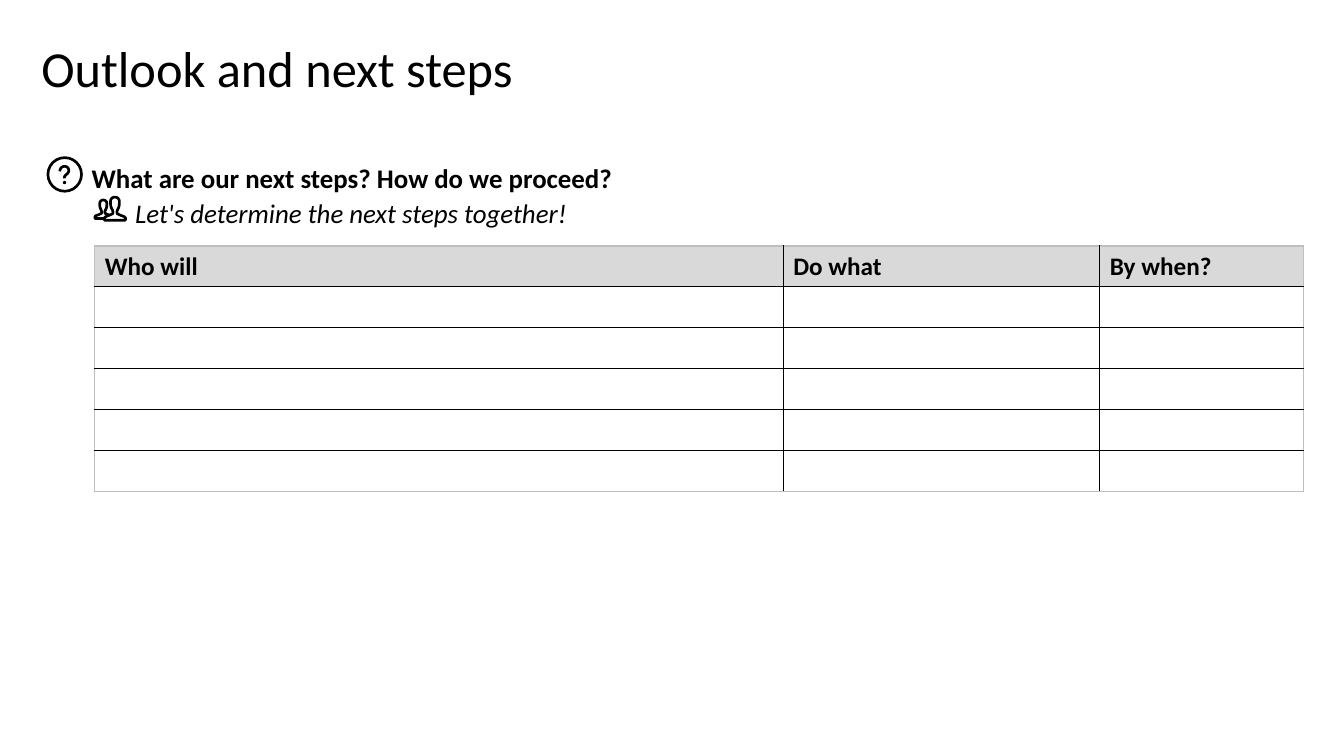
from lxml.etree import SubElement
from pptx import Presentation
from pptx.dml.color import RGBColor
from pptx.enum.shapes import MSO_SHAPE
from pptx.enum.text import MSO_ANCHOR, PP_ALIGN
from pptx.oxml.ns import qn
from pptx.util import Pt

FONT = "Calibri"
BLACK, WHITE, HEADER_GREY, EDGE_GREY = "000000", "FFFFFF", "D9D9D9", "BFBFBF"

HEADERS = ["Who will", "Do what", "By when?"]
COLUMN_WIDTHS = [491.8, 226.1, 145.4]
ROW_COUNT, ROW_HEIGHT = 6, 29.2

# Right half of a person's outline, from the crown of the head to the base.
PERSON_HALF = [(0, 0), (1.2, 0.2), (2.2, 0.8), (3, 2), (3.2, 3.4), (3.1, 5.8), (2.6, 7.6),
               (1.8, 9.2), (1.4, 10.6), (1.6, 11.9), (4, 13), (6.6, 14), (7.5, 14.8), (7.5, 16.5)]
QUESTION_HOOK = [(42.7, 122.4), (43, 121), (43.8, 119.7), (45, 119), (46.3, 118.8), (47.6, 119.1),
                 (48.7, 120), (49.2, 121.3), (49.1, 122.6), (48.3, 123.9), (46.8, 125.2),
                 (46.1, 126.2), (46, 127.4)]


def color(hex_text):
    return RGBColor.from_string(hex_text)


class SlideBuilder:
    def __init__(self, slide):
        self.slide = slide

    def style_text(self, paragraph, size, bold=False, italic=False, spacing=1.0):
        paragraph.alignment = PP_ALIGN.LEFT
        paragraph.line_spacing = spacing
        font = paragraph.font
        font.name, font.size, font.bold, font.italic = FONT, Pt(size), bold, italic
        font.color.rgb = color(BLACK)

    def fill_frame(self, shape, text, size, spacing, **emphasis):
        """Put one line of text at the top left of a shape, without margins."""
        frame = shape.text_frame
        frame.word_wrap = True
        frame.vertical_anchor = MSO_ANCHOR.TOP
        frame.margin_left = frame.margin_right = frame.margin_top = frame.margin_bottom = 0
        frame.text = text
        self.style_text(frame.paragraphs[0], size, spacing=spacing, **emphasis)

    def title(self, text, left, top, width, height):
        title = self.slide.shapes.title
        title.left, title.top, title.width, title.height = map(Pt, (left, top, width, height))
        self.fill_frame(title, text, 36, 0.9)

    def text(self, text, left, top, width, height, **emphasis):
        box = self.slide.shapes.add_textbox(*map(Pt, (left, top, width, height)))
        self.fill_frame(box, text, 19.2, 1.06, **emphasis)

    def outline(self, shape, line_width, filled=True):
        shape.shadow.inherit = False
        if filled:
            shape.fill.solid()
            shape.fill.fore_color.rgb = color(WHITE)
        else:
            shape.fill.background()
        shape.line.color.rgb = color(BLACK)
        shape.line.width = Pt(line_width)

    def circle(self, left, top, diameter, line_width):
        bounds = map(Pt, (left, top, diameter, diameter))
        self.outline(self.slide.shapes.add_shape(MSO_SHAPE.OVAL, *bounds), line_width)

    def freeform(self, points, closed):
        start, *rest = [(Pt(x), Pt(y)) for x, y in points]
        builder = self.slide.shapes.build_freeform(*start)
        builder.add_line_segments(rest, close=closed)
        self.outline(builder.convert_to_shape(), 1.9, filled=closed)

    def question_icon(self):
        self.circle(34.2, 112.6, 24, 1.9)
        self.freeform(QUESTION_HOOK, closed=False)
        self.circle(45.4, 129.7, 1.4, 1)

    def person(self, center, top, scale):
        right = [(center + x * scale, top + y * scale) for x, y in PERSON_HALF]
        left = [(2 * center - x, y) for x, y in right[:0:-1]]
        self.freeform(right + left, closed=True)

    def cell_border(self, cell, side, hex_text):
        line = SubElement(cell._tc.get_or_add_tcPr(), qn("a:ln" + side), w=str(Pt(1)))
        fill = SubElement(line, qn("a:solidFill"))
        SubElement(fill, qn("a:srgbClr"), val=hex_text)

    def table(self, left, top):
        column_count = len(HEADERS)
        bounds = map(Pt, (left, top, sum(COLUMN_WIDTHS), ROW_COUNT * ROW_HEIGHT))
        table = self.slide.shapes.add_table(ROW_COUNT, column_count, *bounds).table
        for column, width in zip(table.columns, COLUMN_WIDTHS):
            column.width = Pt(width)
        for row_index, row in enumerate(table.rows):
            row.height = Pt(ROW_HEIGHT)
            for column_index, cell in enumerate(row.cells):
                on_edge = {"L": column_index == 0, "R": column_index == column_count - 1,
                           "T": row_index == 0, "B": row_index == ROW_COUNT - 1}
                for side, is_edge in on_edge.items():
                    self.cell_border(cell, side, EDGE_GREY if is_edge else BLACK)
                is_header = row_index == 0
                cell.fill.solid()
                cell.fill.fore_color.rgb = color(HEADER_GREY if is_header else WHITE)
                if is_header:
                    cell.text = HEADERS[column_index]
                    self.style_text(cell.text_frame.paragraphs[0], 18, bold=True)


def main():
    presentation = Presentation()
    presentation.slide_width, presentation.slide_height = Pt(960), Pt(540)
    builder = SlideBuilder(presentation.slides.add_slide(presentation.slide_layouts[5]))
    builder.title("Outlook and next steps", 29.5, 31.7, 901.4, 51.1)
    builder.text("What are our next steps? How do we proceed?", 65.5, 113.8, 842.4, 25, bold=True)
    builder.question_icon()
    builder.table(67.7, 175.7)
    builder.person(73.8, 142.9, 0.8)
    builder.person(82.1, 140.8, 1)
    builder.text("Let's determine the next steps together!", 96.5, 139, 575.3, 25, italic=True)
    presentation.save("out.pptx")


if __name__ == "__main__":
    main()
